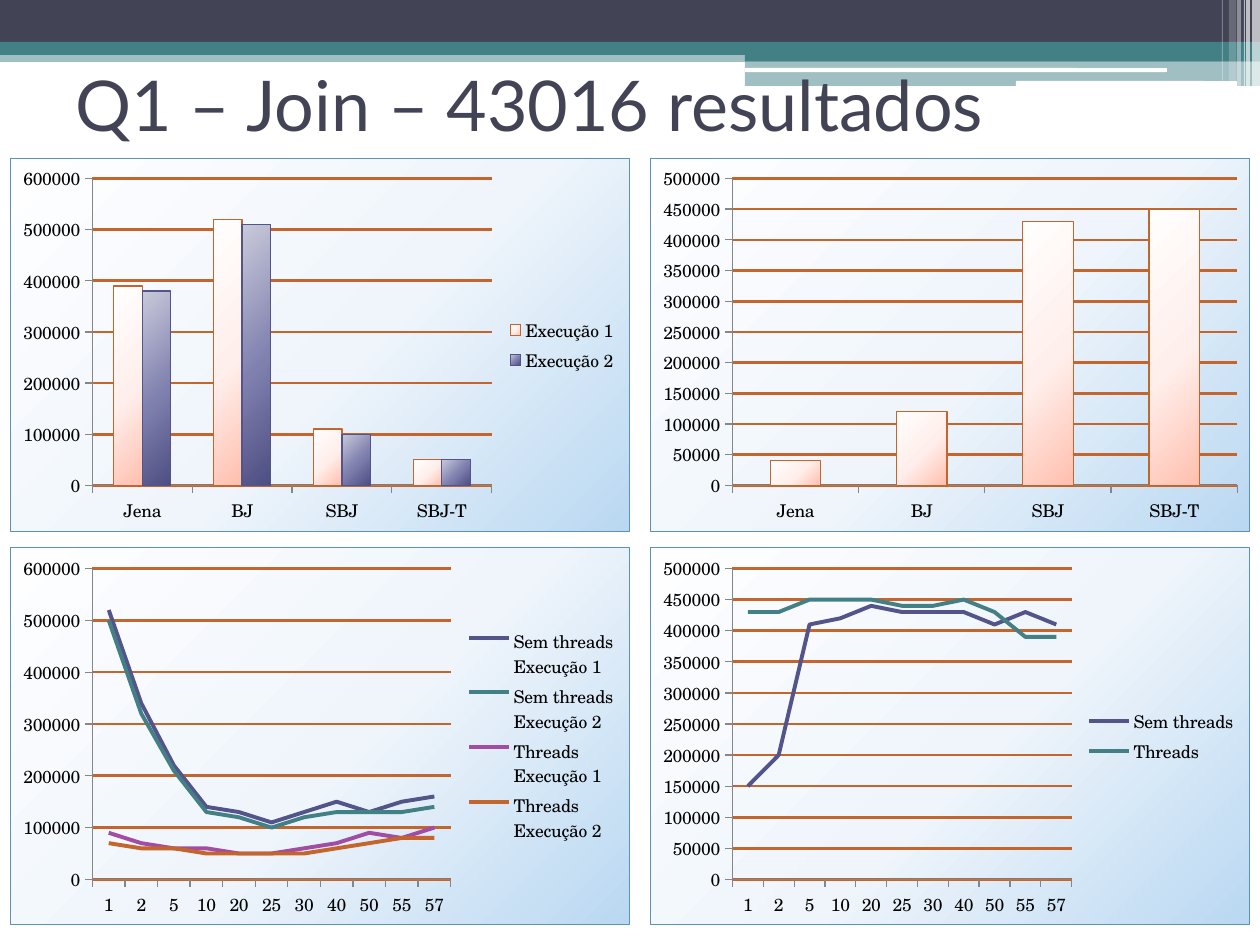
import lxml.etree
import pptx
import pptx.chart.data
import pptx.dml.color
import pptx.enum.chart
import pptx.enum.shapes
import pptx.enum.text
import pptx.oxml
import pptx.oxml.ns
import pptx.util

RGB = pptx.dml.color.RGBColor
WHITE = RGB(0xFF, 0xFF, 0xFF)
BLACK = RGB(0x00, 0x00, 0x00)
SLATE = RGB(0x42, 0x44, 0x56)
TEAL = RGB(0x43, 0x80, 0x86)
INDIGO = RGB(0x53, 0x54, 0x8A)
PURPLE = RGB(0xA0, 0x4D, 0xA3)
ORANGE = RGB(0xC4, 0x65, 0x2D)
BORDER = RGB(0x5C, 0x92, 0xB5)
GRAY = RGB(0x86, 0x86, 0x86)
SKY = (RGB(0xFE, 0xFE, 0xFF), RGB(0xEF, 0xF5, 0xFB), RGB(0xBA, 0xD8, 0xF2))
PEACH = (RGB(0xFF, 0xFE, 0xFD), RGB(0xFF, 0xEF, 0xEC), RGB(0xFF, 0xBF, 0xAE))
VIOLET = (RGB(0xC9, 0xC9, 0xDA), RGB(0x7F, 0x80, 0xAE), RGB(0x4D, 0x4E, 0x81))

ChartType = pptx.enum.chart.XL_CHART_TYPE
ShapeType = pptx.enum.shapes.MSO_SHAPE
qn = pptx.oxml.ns.qn
EMU_PER_PX = 914400 / 126


def px(*lengths):
    return [pptx.util.Emu(round(length * EMU_PER_PX)) for length in lengths]


def gradient(colors):
    """Radial a:gradFill centred beyond the top left corner."""
    stops = "".join(
        f'<a:gs pos="{position}"><a:srgbClr val="{color}"/></a:gs>'
        for position, color in zip((0, 55000, 100000), colors))
    return pptx.oxml.parse_xml(
        f'<a:gradFill {pptx.oxml.ns.nsdecls("a")} rotWithShape="1"><a:gsLst>{stops}</a:gsLst>'
        '<a:path path="circle"><a:fillToRect l="-40000" t="-90000" r="140000" b="190000"/>'
        '</a:path></a:gradFill>')


class SlideBuilder:
    title_font = "Lato"
    chart_font = "TeX Gyre Schola"

    def __init__(self, deck):
        self.slide = deck.slides.add_slide(deck.slide_layouts[5])
        self.shapes = self.slide.shapes

    def band(self, place, color, opacity=100, kind=ShapeType.RECTANGLE):
        shape = self.shapes.add_shape(kind, *px(*place))
        shape.shadow.inherit = False
        shape.fill.solid()
        shape.fill.fore_color.rgb = color
        shape.line.fill.background()
        if opacity < 100:
            color_node = shape._element.spPr.find(".//" + qn("a:srgbClr"))
            lxml.etree.SubElement(color_node, qn("a:alpha")).set("val", str(opacity * 1000))

    def title(self, place, text):
        title = self.shapes.title
        title.left, title.top, title.width, title.height = px(*place)
        frame = title.text_frame
        frame.text = text
        frame.vertical_anchor = pptx.enum.text.MSO_ANCHOR.MIDDLE
        para = frame.paragraphs[0]
        para.alignment = pptx.enum.text.PP_ALIGN.LEFT
        font = para.runs[0].font
        font.name, font.size = self.title_font, pptx.util.Pt(40)
        font.color.rgb = SLATE
        # The title stands in front of the bands
        self.shapes._spTree.append(title._element)

    def chart(self, kind, place, plot_place, categories, series, top_value, legend=True):
        """Add a chart; each series is (name, values in thousands)."""
        data = pptx.chart.data.CategoryChartData()
        data.categories = categories
        for name, thousands in series:
            data.add_series(name, [value * 1000 for value in thousands])
        chart = self.shapes.add_chart(kind, *px(*place), data).chart
        chart.has_title = False
        chart.font.name, chart.font.size = self.chart_font, pptx.util.Pt(10)
        chart.font.color.rgb = BLACK
        chart.has_legend = legend
        if legend:
            chart.legend.position = pptx.enum.chart.XL_LEGEND_POSITION.RIGHT
            chart.legend.include_in_layout = False
        self.axes(chart, top_value)
        self.background(chart)
        self.plot_layout(chart, place, plot_place)
        return chart

    def axes(self, chart, top_value):
        values = chart.value_axis
        values.minimum_scale, values.maximum_scale = 0, top_value
        values.has_major_gridlines = True
        grid = values.major_gridlines.format.line
        grid.color.rgb, grid.width = ORANGE, pptx.util.Pt(1.5)
        values.tick_labels.number_format = "General"
        values.tick_labels.number_format_is_linked = False
        for axis in (values, chart.category_axis):
            axis.major_tick_mark = pptx.enum.chart.XL_TICK_MARK.OUTSIDE
            axis.format.line.color.rgb = GRAY
            axis.format.line.width = pptx.util.Pt(0.75)

    def background(self, chart):
        panel = pptx.oxml.parse_xml(
            f'<c:spPr {pptx.oxml.ns.nsdecls("c", "a")}><a:ln w="{pptx.util.Pt(0.75)}">'
            f'<a:solidFill><a:srgbClr val="{BORDER}"/></a:solidFill></a:ln></c:spPr>')
        panel.insert(0, gradient(SKY))
        chart._chartSpace.find(qn("c:chart")).addnext(panel)

    def plot_layout(self, chart, place, plot_place):
        """Fix the inner plot area, given in slide px."""
        left, top, width, height = place
        x, y, w, h = plot_place
        fractions = {"x": (x - left) / width, "y": (y - top) / height,
                     "w": w / width, "h": h / height}
        parts = "".join(f'<c:{key} val="{value:.4f}"/>' for key, value in fractions.items())
        layout = pptx.oxml.parse_xml(
            f'<c:layout {pptx.oxml.ns.nsdecls("c")}><c:manualLayout>'
            '<c:layoutTarget val="inner"/><c:xMode val="edge"/><c:yMode val="edge"/>'
            f'{parts}</c:manualLayout></c:layout>')
        plot_area = chart._chartSpace.find(".//" + qn("c:plotArea"))
        for old in plot_area.findall(qn("c:layout")):
            plot_area.remove(old)
        plot_area.insert(0, layout)

    def columns(self, *args, **options):
        chart = self.chart(ChartType.COLUMN_CLUSTERED, *args, **options)
        plot = chart.plots[0]
        plot.vary_by_categories = False
        plot.gap_width, plot.overlap = 150, 0
        for series, (fill, line) in zip(plot.series, ((PEACH, ORANGE), (VIOLET, INDIGO))):
            series.format.line.color.rgb = line
            series.format.line.width = pptx.util.Pt(0.75)
            series._element.get_or_add_spPr().insert(0, gradient(fill))

    def lines(self, *args, **options):
        chart = self.chart(ChartType.LINE, *args, **options)
        chart.plots[0].vary_by_categories = False
        for series, color in zip(chart.plots[0].series, (INDIGO, TEAL, PURPLE, ORANGE)):
            series.smooth = False
            series.marker.style = pptx.enum.chart.XL_MARKER_STYLE.NONE
            series.format.line.color.rgb = color
            series.format.line.width = pptx.util.Pt(2.25)


def main():
    deck = pptx.Presentation()
    deck.slide_width, deck.slide_height = px(1260, 945)
    page = SlideBuilder(deck)

    page.band((0, 50, 1260, 12), TEAL, 50)
    page.band((0, 0, 1260, 43), SLATE)
    page.band((0, 42, 1260, 13), TEAL)
    page.band((745, 49, 515, 12), TEAL)
    page.band((745, 61, 515, 25), TEAL, 50)
    for place in ((745, 68, 422, 4), (1016, 81, 221, 5)):
        page.band(place, WHITE, kind=ShapeType.ROUNDED_RECTANGLE)
    for left, width, height, opacity in (
            (1252, 8, 86, 65), (1246, 4, 86, 65), (1244, 1, 86, 60),
            (1237, 4, 86, 40), (1229, 7, 81, 20), (1222, 1, 81, 30)):
        page.band((left, 0, width, height), WHITE, opacity)

    page.title((63, 30, 1134, 147), "Q1 – Join – 43016 resultados")

    engines = ("Jena", "BJ", "SBJ", "SBJ-T")
    sizes = ("1", "2", "5", "10", "20", "25", "30", "40", "50", "55", "57")
    page.columns((10, 158, 620, 374), (92, 178, 400, 308), engines, (
        ("Execução 1", (390, 520, 110, 50)),
        ("Execução 2", (380, 510, 100, 50))), 600000)
    page.columns((650, 158, 600, 374), (732, 178, 506, 308), engines, (
        ("Series 1", (40, 120, 430, 450)),), 500000, legend=False)
    page.lines((10, 547, 620, 378), (92, 568, 359, 312), sizes, (
        ("Sem threads\nExecução 1", (520, 340, 220, 140, 130, 110, 130, 150, 130, 150, 160)),
        ("Sem threads\nExecução 2", (500, 320, 210, 130, 120, 100, 120, 130, 130, 130, 140)),
        ("Threads\nExecução 1", (90, 70, 60, 60, 50, 50, 60, 70, 90, 80, 100)),
        ("Threads\nExecução 2", (70, 60, 60, 50, 50, 50, 50, 60, 70, 80, 80))), 600000)
    page.lines((650, 547, 600, 378), (732, 568, 340, 312), sizes, (
        ("Sem threads", (150, 200, 410, 420, 440, 430, 430, 430, 410, 430, 410)),
        ("Threads", (430, 430, 450, 450, 450, 440, 440, 450, 430, 390, 390))), 500000)

    deck.save("out.pptx")


if __name__ == "__main__":
    main()
